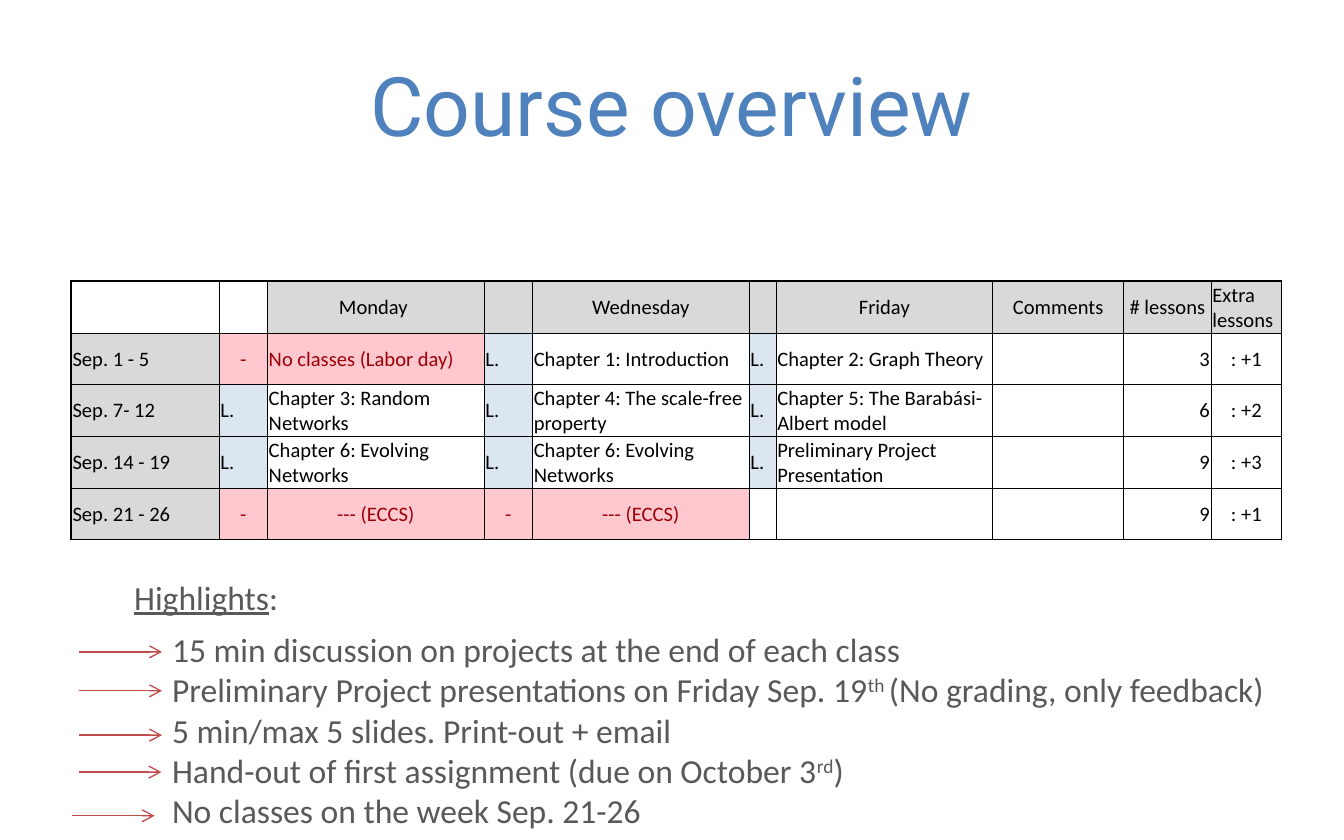
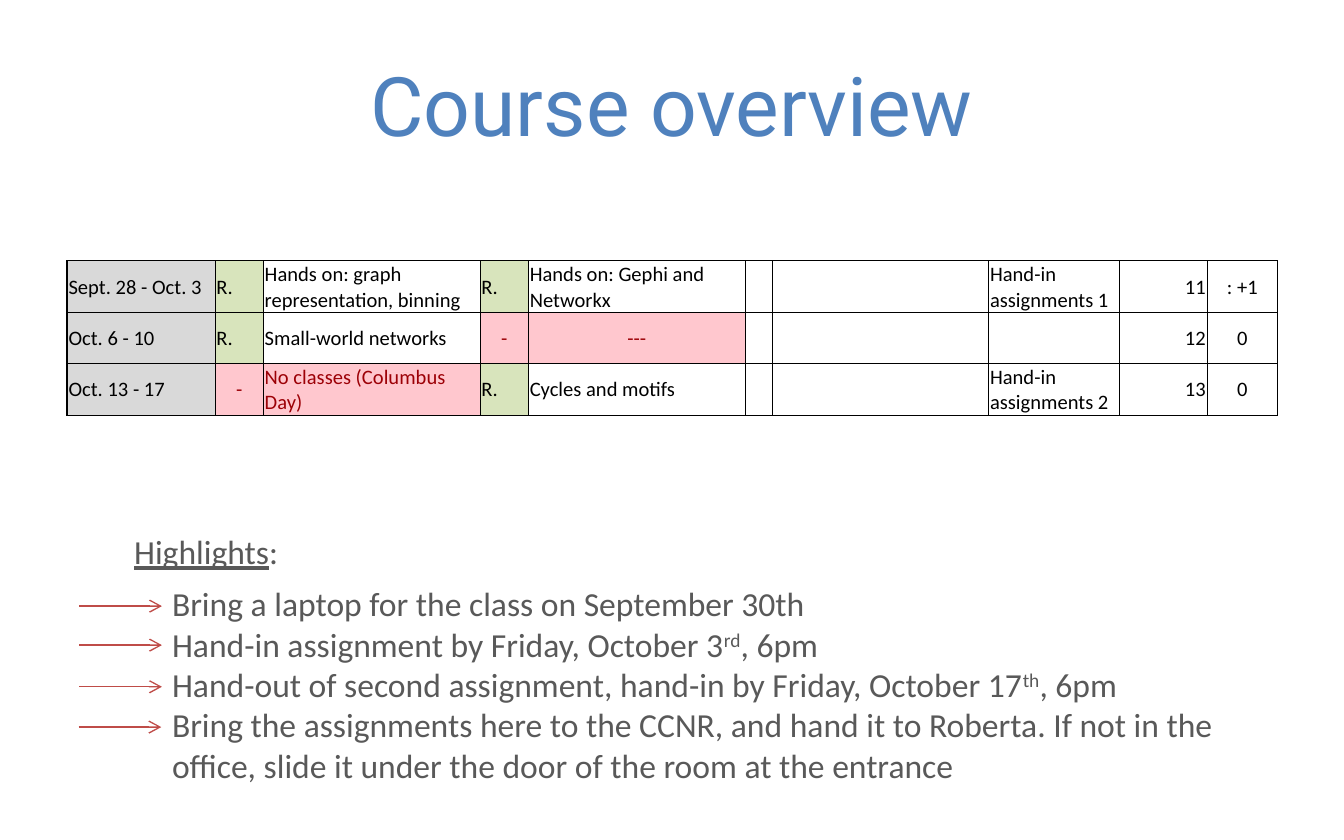
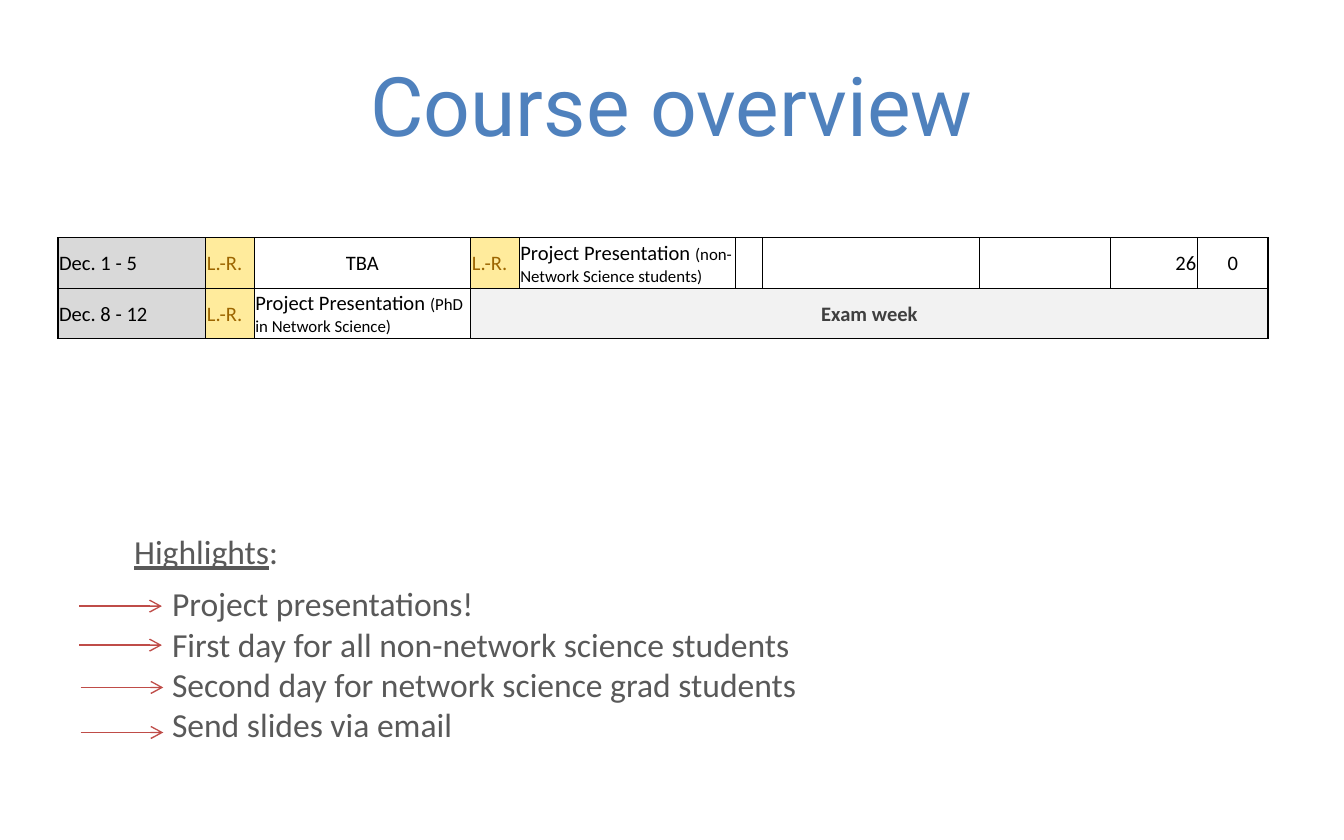
"""Build three course overview slides, each with a schedule table and a list of highlights."""
import dataclasses
import itertools

import pptx
import pptx.dml.color
import pptx.enum.shapes
import pptx.enum.text
import pptx.oxml.xmlchemy
import pptx.util
from lxml import etree
from pptx.oxml.ns import qn

Align = pptx.enum.text.PP_ALIGN
Anchor = pptx.enum.text.MSO_ANCHOR


@dataclasses.dataclass(frozen=True)
class Theme:
    """Colours, fonts and type sizes shared by the slides."""
    title: str = "4F81BD"
    text: str = "595959"
    arrow: str = "BF4C48"
    black: str = "000000"
    heading_font: str = "Roboto"
    body_font: str = "Calibri"
    title_size: int = 44
    body_size: int = 18
    table_size: int = 11
    thin: float = 0.5
    thick: float = 1
    arrow_width: float = 0.75


theme = Theme()

TITLE = {"name": theme.heading_font, "size": pptx.util.Pt(theme.title_size)}
BODY = {"name": theme.body_font, "size": pptx.util.Pt(theme.body_size)}
TABLE = {"name": theme.body_font, "size": pptx.util.Pt(theme.table_size), "bold": False}
UNDERLINED = {"u": "sng"}
RAISED = {"baseline": "30000"}
SMALL = {"sz": "900"}

CELL_STYLES = {
    "plain": (None, theme.black, Align.LEFT),
    "centred": (None, theme.black, Align.CENTER),
    "count": (None, theme.black, Align.RIGHT),
    "heading": ("D9D9D9", theme.black, Align.CENTER),
    "week": ("D9D9D9", theme.black, Align.LEFT),
    "lecture": ("DCE6F1", theme.black, Align.LEFT),
    "practice": ("D8E4BC", theme.black, Align.LEFT),
    "mixed": ("FFEB9C", "9C6500", Align.LEFT),
    "holiday": ("FFC7CE", "9C0006", Align.LEFT),
    "off": ("FFC7CE", "9C0006", Align.CENTER),
    "exam": ("F2F2F2", "3F3F3F", Align.CENTER),
}
EMPTY = ("plain", "")
LECTURE = ("lecture", "L.")
PRACTICE = ("practice", "R.")
MIXED = ("mixed", "L.-R.")
OFF = ("off", "-")

COLUMN_WIDTHS = [22, 7.2, 32.25, 7.2, 32.25, 4, 32.25, 19.5, 13, 10.5]

slides = [
    {
        "table_at": (10.6, 41.8), "row_height": 7.6, "thick_sides": "LRT",
        "rows": [
            [EMPTY, EMPTY, ("heading", "Monday "), ("heading", ""), ("heading", "Wednesday"),
             ("heading", ""), ("heading", "Friday"), ("heading", "Comments"),
             ("heading", "# lessons"), ("week", "Extra lessons")],
            [("week", "Sep. 1 - 5"), OFF, ("holiday", "No classes (Labor day)"),
             LECTURE, ("plain", "Chapter 1: Introduction"),
             LECTURE, ("plain", "Chapter 2: Graph Theory"),
             EMPTY, ("count", "3"), ("centred", ": +1")],
            [("week", "Sep. 7- 12"), LECTURE, ("plain", "Chapter 3: Random Networks"),
             LECTURE, ("plain", "Chapter 4: The scale-free property"),
             LECTURE, ("plain", "Chapter 5: The Barabási-Albert model"),
             EMPTY, ("count", "6"), ("centred", ": +2")],
            [("week", "Sep. 14 - 19"), LECTURE, ("plain", "Chapter 6: Evolving Networks"),
             LECTURE, ("plain", "Chapter 6: Evolving Networks"),
             LECTURE, ("plain", "Preliminary Project Presentation"),
             EMPTY, ("count", "9"), ("centred", ": +3")],
            [("week", "Sep. 21 - 26"), OFF, ("off", "--- (ECCS)"), OFF, ("off", "--- (ECCS)"),
             EMPTY, EMPTY, EMPTY, ("count", "9"), ("centred", ": +1")],
        ],
        "heading_top": 84.8, "list_width": 171.6,
        "highlights": [
            "15 min discussion on projects at the end of each class",
            "Preliminary Project presentations on Friday Sep. 19^th ^(No grading, only feedback)",
            "5 min/max 5 slides. Print-out + email",
            "Hand-out of first assignment (due on October 3^rd^)",
            "No classes on the week Sep. 21-26",
        ],
        "arrows": [(11.8, 97), (11.8, 102.8), (11.8, 109.4), (11.7, 114.9), (10.7, 121.4)],
    },
    {
        "table_at": (10, 38.8), "row_height": 7.5, "thick_sides": "LR",
        "rows": [
            [("week", "Sept. 28 - Oct. 3"),
             PRACTICE, ("plain", "Hands on: graph representation, binning"),
             PRACTICE, ("plain", "Hands on: Gephi and Networkx"),
             EMPTY, EMPTY, ("plain", "Hand-in assignments 1"),
             ("count", "11"), ("centred", ": +1")],
            [("week", "Oct. 6 - 10"), PRACTICE, ("plain", "Small-world networks"),
             OFF, ("off", "---"), EMPTY, EMPTY, EMPTY, ("count", "12"), ("centred", "0")],
            [("week", "Oct. 13 - 17"), OFF, ("holiday", "No classes (Columbus Day)"),
             PRACTICE, ("plain", "Cycles and motifs"),
             EMPTY, EMPTY, ("plain", "Hand-in assignments 2"),
             ("count", "13"), ("centred", "0")],
        ],
        "heading_top": 78, "list_width": 172.2,
        "highlights": [
            "Bring a laptop for the class on September 30th",
            "Hand-in assignment by Friday, October 3^rd^, 6pm",
            "Hand-out of second assignment, hand-in by Friday, October 17^th^, 6pm",
            "Bring the assignments here to the CCNR, and hand it to Roberta. If not in the "
            "office, slide it under the door of the room at the entrance",
        ],
        "arrows": [(11.8, 90.2), (11.8, 96), (11.8, 102.2), (11.7, 108.2)],
    },
    {
        "table_at": (8.6, 35.4), "row_height": 7.5, "thick_sides": "LRB",
        "rows": [
            [("week", "Dec. 1 - 5"), MIXED, ("centred", "TBA"),
             MIXED, ("plain", "Project Presentation ^(non-Network Science students)^"),
             EMPTY, EMPTY, EMPTY, ("count", "26"), ("centred", "0")],
            [("week", "Dec. 8 - 12"),
             MIXED, ("plain", "Project Presentation ^(PhD in Network Science)^"),
             ("exam", "Exam week")],
        ],
        "heading_top": 78, "list_width": 172.2,
        "highlights": [
            "Project presentations!",
            "First day for all non-network science students",
            "Second day for network science grad students",
            "Send slides via email",
        ],
        "arrows": [(11.8, 90.2), (11.8, 96), (12, 102.3), (12, 109)],
    },
]


def add_runs(paragraph, text, formats, color, marked=None):
    """Write text as runs; the parts between carets also get the marked XML attributes."""
    for index, part in enumerate(text.split("^")):
        if not part:
            continue
        run = paragraph.add_run()
        run.text = part
        for name, value in formats.items():
            setattr(run.font, name, value)
        run.font.color.rgb = pptx.dml.color.RGBColor.from_string(color)
        if index % 2:
            for name, value in marked.items():
                run.font._element.set(name, value)


presentation = pptx.Presentation()
presentation.slide_width = pptx.util.Inches(10)
presentation.slide_height = pptx.util.Inches(6.25)
column = presentation.slide_width / 200
row = presentation.slide_height / 125


def place(left, top, width, height):
    """Turn columns and rows of the slide grid into lengths."""
    return [int(left * column), int(top * row), int(width * column), int(height * row)]


for content in slides:
    slide = presentation.slides.add_slide(presentation.slide_layouts[1])
    title, highlights = slide.placeholders
    heading_top = content["heading_top"]
    boxes = [(title, (10, 5, 180, 20.8)),
             (highlights, (23.6, heading_top + 7.8, content["list_width"], 32.4))]
    for shape, box in boxes:
        for name, value in zip(("left", "top", "width", "height"), place(*box)):
            setattr(shape, name, value)
        shape.text_frame.auto_size = pptx.enum.text.MSO_AUTO_SIZE.NONE

    title.text_frame.vertical_anchor = Anchor.MIDDLE
    paragraph = title.text_frame.paragraphs[0]
    paragraph.alignment = Align.CENTER
    add_runs(paragraph, "Course overview", TITLE, theme.title)

    rows = content["rows"]
    frame = slide.shapes.add_table(
        len(rows), len(COLUMN_WIDTHS),
        *place(*content["table_at"], sum(COLUMN_WIDTHS), content["row_height"] * len(rows)))
    table = frame.table
    table.first_row = table.horz_banding = False
    for table_column, width in zip(table.columns, COLUMN_WIDTHS):
        table_column.width = int(width * column)
    last_row, last_column = len(rows) - 1, len(COLUMN_WIDTHS) - 1
    for row_index, cells in enumerate(rows):
        table.rows[row_index].height = int(content["row_height"] * row)
        padding = [EMPTY] * (len(COLUMN_WIDTHS) - len(cells))
        for column_index, (style, text) in enumerate(itertools.chain(cells, padding)):
            fill, color, alignment = CELL_STYLES[style]
            cell = table.cell(row_index, column_index)
            if style == "exam":
                cell.merge(table.cell(row_index, last_column))
            cell.vertical_anchor = Anchor.MIDDLE
            for side in ("left", "right", "top"):
                setattr(cell, f"margin_{side}", pptx.util.Inches(0.01))
            cell.margin_bottom = 0
            outer = {"L": column_index == 0,
                     "R": column_index + cell.span_width > last_column,
                     "T": row_index == 0,
                     "B": row_index == last_row}
            properties = cell._tc.get_or_add_tcPr()
            for side, at_edge in outer.items():
                thick = at_edge and side in content["thick_sides"]
                line_width = pptx.util.Pt(theme.thick if thick else theme.thin)
                border = etree.SubElement(properties, qn(f"a:ln{side}"), w=str(line_width))
                solid = etree.SubElement(border, qn("a:solidFill"))
                etree.SubElement(solid, qn("a:srgbClr"), val=theme.black)
            if fill:
                cell.fill.solid()
                cell.fill.fore_color.rgb = pptx.dml.color.RGBColor.from_string(fill)
            else:
                cell.fill.background()
            paragraph = cell.text_frame.paragraphs[0]
            paragraph.alignment = alignment
            add_runs(paragraph, text, TABLE | {"bold": style == "exam"}, color, SMALL)

    heading = slide.shapes.add_textbox(*place(18, heading_top, 69.2, 8))
    heading.text_frame.word_wrap = True
    add_runs(heading.text_frame.paragraphs[0], "^Highlights^:", BODY, theme.text, UNDERLINED)

    for index, text in enumerate(content["highlights"]):
        text_frame = highlights.text_frame
        paragraph = text_frame.add_paragraph() if index else text_frame.paragraphs[0]
        properties = paragraph._p.get_or_add_pPr()
        for name in ("marL", "indent"):
            properties.set(name, "0")
        etree.SubElement(properties, qn("a:buNone"))
        paragraph.space_before = pptx.util.Pt(0)
        add_runs(paragraph, text, BODY, theme.text, RAISED)

    for left, top in content["arrows"]:
        start_x, start_y, length, _ = place(left, top, 12.3, 0)
        arrow = slide.shapes.add_connector(
            pptx.enum.shapes.MSO_CONNECTOR.STRAIGHT, start_x, start_y, start_x + length, start_y)
        arrow.line.color.rgb = pptx.dml.color.RGBColor.from_string(theme.arrow)
        arrow.line.width = pptx.util.Pt(theme.arrow_width)
        etree.SubElement(arrow.line._get_or_add_ln(), qn("a:tailEnd"), type="arrow")
        etree.SubElement(arrow._element.spPr, qn("a:effectLst"))

presentation.save("out.pptx")
